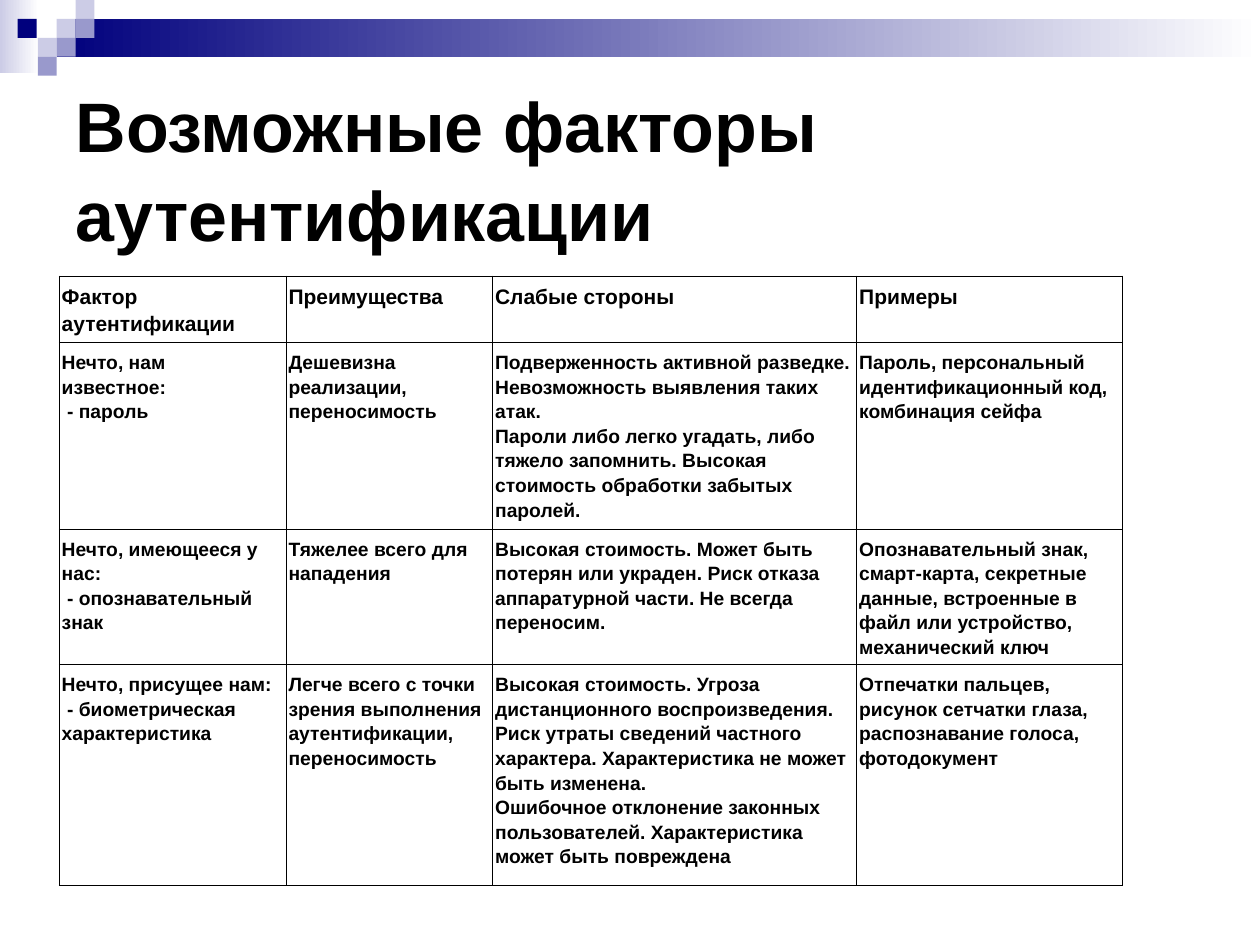
from pptx import Presentation
from pptx.dml.color import RGBColor as RGB
from pptx.enum.shapes import MSO_SHAPE as Shape
from pptx.enum.text import MSO_ANCHOR as Anchor, MSO_AUTO_SIZE as Auto, PP_ALIGN as Align
from pptx.oxml import parse_xml
from pptx.oxml.ns import nsdecls
from pptx.util import Inches, Pt

BLACK = RGB(0x00, 0x00, 0x00)
WHITE = RGB(0xFF, 0xFF, 0xFF)
NAVY = RGB(0x00, 0x00, 0x7D)
LILAC = RGB(0xCC, 0xCC, 0xE6)
MAUVE = RGB(0x99, 0x99, 0xCC)

SIDE = 0.15
TILES = [
    (0.45, 1, LILAC), (0.6, 0, LILAC), (0.6, 1, MAUVE), (0.3, 2, LILAC),
    (0.14, 1, NAVY), (0.45, 2, MAUVE), (0.3, 3, MAUVE),
]

FONT = {"name": "Arial", "bold": True}
PARA = {"line_spacing": 1.15, "alignment": Align.LEFT}
CELL = {
    "margin_left": Inches(0.02), "margin_right": Inches(0.02),
    "margin_top": Inches(0.05), "margin_bottom": Inches(0.05),
    "vertical_anchor": Anchor.TOP,
}
COLS = [1.8, 1.64, 2.89, 2.11]
ROWS = [0.46, 1.48, 1.05, 1.75]
DATA = [
    ["Фактор аутентификации", "Преимущества", "Слабые стороны", "Примеры"],
    [
        "Нечто, нам\nизвестное:\n - пароль",
        "Дешевизна реализации,\nпереносимость",
        "Подверженность активной разведке.\n"
        "Невозможность выявления таких атак.\n"
        "Пароли либо легко угадать, либо\n"
        "тяжело запомнить. Высокая стоимость обработки забытых паролей.",
        "Пароль, персональный\nидентификационный код,\nкомбинация сейфа",
    ],
    [
        "Нечто, имеющееся у\nнас:\n - опознавательный\nзнак",
        "Тяжелее всего для\nнападения",
        "Высокая стоимость. Может быть\n"
        "потерян или украден. Риск отказа\n"
        "аппаратурной части. Не всегда\n"
        "переносим.",
        "Опознавательный знак,\n"
        "смарт-карта, секретные\n"
        "данные, встроенные в файл или устройство, механический ключ",
    ],
    [
        "Нечто, присущее нам:\n - биометрическая характеристика",
        "Легче всего с точки\nзрения выполнения\nаутентификации, переносимость",
        "Высокая стоимость. Угроза дистанционного воспроизведения. "
        "Риск утраты сведений частного характера. "
        "Характеристика не может быть изменена.\n"
        "Ошибочное отклонение законных\n"
        "пользователей. Характеристика может быть повреждена",
        "Отпечатки пальцев, рисунок сетчатки глаза, "
        "распознавание голоса, фотодокумент",
    ],
]


def apply(item, style):
    for key, value in style.items():
        setattr(item, key, value)


def style_text(frame, size, para):
    for line in frame.paragraphs:
        apply(line, para)
        for run in line.runs:
            apply(run.font, {**FONT, "size": Pt(size)})
            run.font.color.rgb = BLACK


def add_rect(slide, box, *tones):
    rect = slide.shapes.add_shape(Shape.RECTANGLE, *map(Inches, box))
    rect.shadow.inherit = False
    rect.line.fill.background()
    if len(tones) == 1:
        rect.fill.solid()
        rect.fill.fore_color.rgb = tones[0]
        return
    rect.fill.gradient()
    rect.fill.gradient_angle = 0
    for stop, tone in zip(rect.fill.gradient_stops, tones):
        stop.color.rgb = tone


def add_banner(slide):
    add_rect(slide, (0, 0, 0.31, 0.58), LILAC, WHITE)
    add_rect(slide, (0.45, SIDE, 9.55, 2 * SIDE), NAVY, WHITE)
    for left, row, tone in TILES:
        add_rect(slide, (left, row * SIDE, SIDE, SIDE), tone)


def set_title(slide, text):
    title = slide.shapes.title
    apply(title, {
        "left": Inches(0.5), "top": Inches(0.7),
        "width": Inches(9), "height": Inches(1.25),
    })
    frame = title.text_frame
    frame.text = text
    apply(frame, {
        "vertical_anchor": Anchor.MIDDLE, "word_wrap": True, "auto_size": Auto.NONE,
    })
    style_text(frame, 40, {"line_spacing": 1.05, "alignment": Align.LEFT})


def add_edges(cell):
    props = cell._tc.get_or_add_tcPr()
    for side in "LRTB":
        props.append(parse_xml(
            f'<a:ln{side} {nsdecls("a")} w="{Pt(0.45)}"><a:solidFill>'
            f'<a:srgbClr val="{BLACK}"/></a:solidFill></a:ln{side}>'
        ))


def fill_cell(cell, text, size):
    cell.text = text
    apply(cell, CELL)
    style_text(cell.text_frame, size, PARA)
    add_edges(cell)
    cell.fill.solid()
    cell.fill.fore_color.rgb = WHITE


def add_grid(slide):
    box = map(Inches, (0.47, 2.19, sum(COLS), sum(ROWS)))
    table = slide.shapes.add_table(len(ROWS), len(COLS), *box).table
    for col, width in zip(table.columns, COLS):
        col.width = Inches(width)
    for row, height in zip(table.rows, ROWS):
        row.height = Inches(height)
    for r, texts in enumerate(DATA):
        for c, text in enumerate(texts):
            fill_cell(table.cell(r, c), text, 11 if r else 12)


def main():
    deck = Presentation()
    apply(deck, {"slide_width": Inches(10), "slide_height": Inches(7.5)})
    slide = deck.slides.add_slide(deck.slide_layouts[5])
    add_banner(slide)
    set_title(slide, "Возможные факторы аутентификации")
    add_grid(slide)
    deck.save("out.pptx")


if __name__ == "__main__":
    main()
